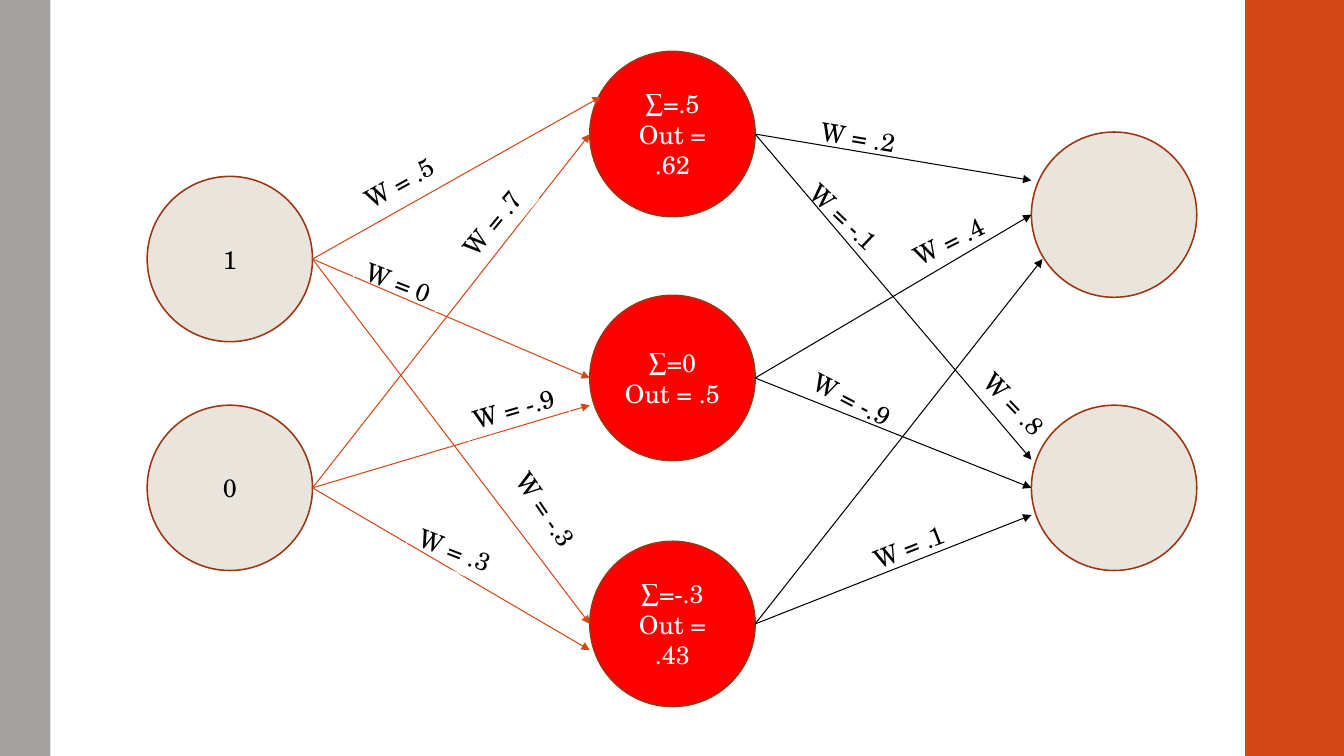
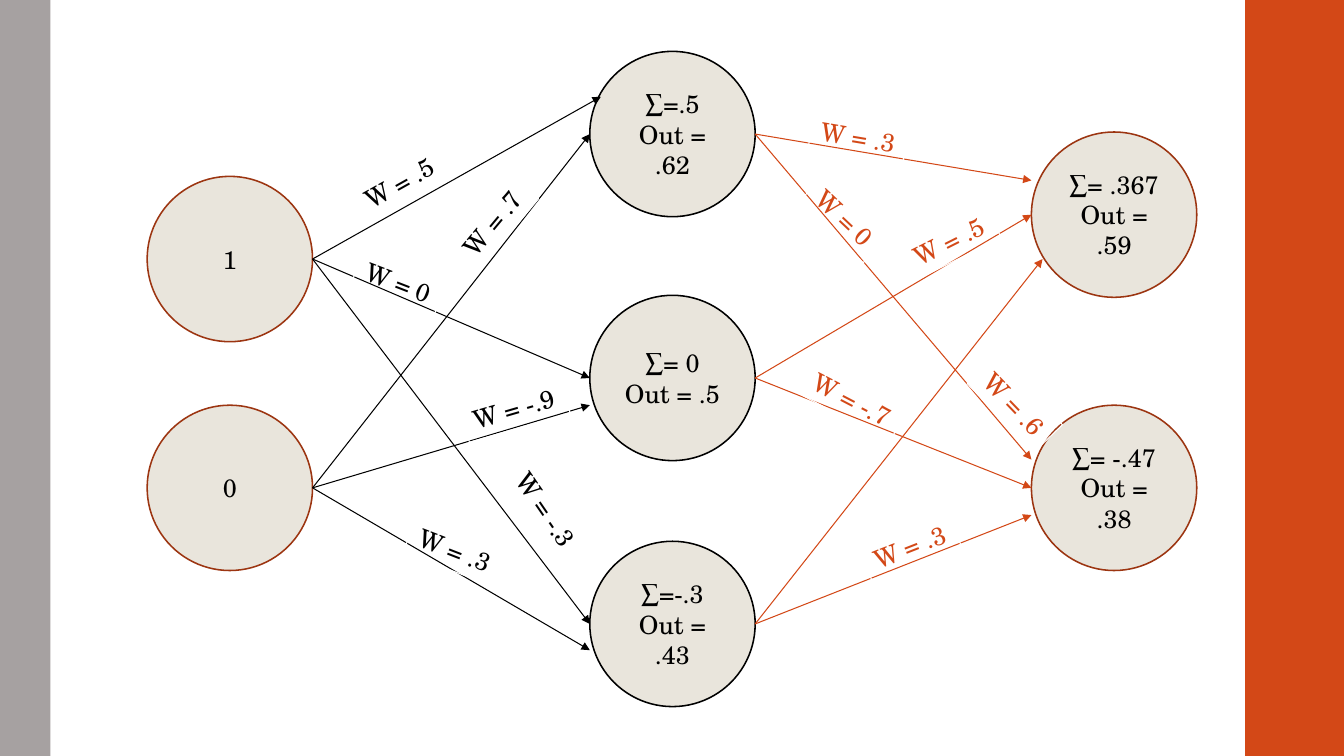
from dataclasses import dataclass

from lxml.etree import SubElement
from pptx import Presentation
from pptx.dml.color import RGBColor
from pptx.enum.shapes import MSO_CONNECTOR, MSO_SHAPE
from pptx.enum.text import MSO_ANCHOR, MSO_AUTO_SIZE, PP_ALIGN
from pptx.oxml.ns import qn
from pptx.slide import Slide
from pptx.text.text import TextFrame
from pptx.util import Inches, Pt

WHITE = RGBColor(0xFF, 0xFF, 0xFF)
BLACK = RGBColor(0x00, 0x00, 0x00)
ORANGE = RGBColor(0xD3, 0x48, 0x17)
GRAY = RGBColor(0xA6, 0xA1, 0xA1)
SAND = RGBColor(0xE9, 0xE5, 0xDC)
RUST = RGBColor(0x9C, 0x35, 0x11)
RED = RGBColor(0xFF, 0x00, 0x00)
FONT = "TeX Gyre Schola"

COLS, ROWS = 1333, 750
CELL = Inches(0.01)
SIZE = 164
HALF = SIZE // 2
TALL = 40
WIDTHS = {5: 88, 6: 95, 7: 104}


@dataclass(frozen=True)
class Band:
    col: int
    width: int
    fill: RGBColor


@dataclass(frozen=True)
class Layer:
    col: int
    rows: tuple[int, ...]


@dataclass(frozen=True)
class Link:
    start: int
    end: int
    right: int = 0
    down: int = 0


@dataclass(frozen=True)
class Spot:
    col: int
    row: int
    turn: float


@dataclass(frozen=True)
class Stage:
    links: tuple[Link, ...]
    spots: tuple[Spot, ...]


@dataclass(frozen=True)
class Tone:
    fill: RGBColor
    line: RGBColor
    ink: RGBColor


@dataclass(frozen=True)
class Flow:
    ink: RGBColor
    text: RGBColor
    framed: bool
    weights: tuple[str, ...]


@dataclass(frozen=True)
class Scene:
    tones: tuple[Tone, ...]
    texts: tuple[tuple[str, ...], ...]
    flows: tuple[Flow, ...]


BANDS = (Band(1235, 100, ORANGE), Band(0, 50, GRAY))
LAYERS = (
    Layer(228, (257, 484)),
    Layer(667, (133, 375, 619)),
    Layer(1105, (213, 484)),
)
STAGES = (
    Stage(
        (Link(0, 0, 11, -37), Link(0, 2), Link(0, 1),
         Link(1, 0), Link(1, 1, 0, 27), Link(1, 2, 0, 26)),
        (Spot(396, 181, 330.7), Spot(488, 221, 309.7), Spot(396, 280, 21.2),
         Spot(451, 546, 21.2), Spot(510, 405, 343.8), Spot(542, 506, 55.5)),
    ),
    Stage(
        (Link(0, 0, 0, -34), Link(0, 1, 0, -28), Link(1, 0),
         Link(1, 1), Link(2, 0, 11, 44), Link(2, 1, 0, 27)),
        (Spot(851, 136, 9.6), Spot(941, 239, 333.3), Spot(838, 216, 43.4),
         Spot(902, 542, 338.6), Spot(846, 396, 27.5), Spot(1006, 401, 46.2)),
    ),
)

PLAIN = Tone(SAND, RUST, BLACK)
HOT = Tone(RED, RUST, WHITE)
DONE = Tone(SAND, BLACK, BLACK)
FIRST = (".5", ".7", "0", ".3", "-.9", "-.3")
SCENES = (
    Scene(
        (PLAIN, HOT, PLAIN),
        (("1", "0"),
         ("∑=.5\nOut = .62", "∑=0\nOut = .5", "∑=-.3\nOut = .43"),
         ("", "")),
        (Flow(ORANGE, BLACK, True, FIRST),
         Flow(BLACK, BLACK, False, (".2", ".4", "-.1", ".1", "-.9", ".8"))),
    ),
    Scene(
        (PLAIN, DONE, PLAIN),
        (("1", "0"),
         ("∑=.5\nOut = .62", "∑= 0\nOut = .5", "∑=-.3\nOut = .43"),
         ("∑= .367\nOut = .59", "∑= -.47\nOut = .38")),
        (Flow(BLACK, BLACK, True, FIRST),
         Flow(ORANGE, ORANGE, True, (".3", ".5", "0", ".3", "-.7", ".6"))),
    ),
)


def grid(*cells: int) -> list[int]:
    return [cell * CELL for cell in cells]


def write(frame: TextFrame, text: str, ink: RGBColor, align: PP_ALIGN) -> None:
    for place, line in enumerate(text.split("\n")):
        para = frame.add_paragraph() if place else frame.paragraphs[0]
        para.alignment = align
        run = para.add_run()
        run.text = line
        run.font.name = FONT
        run.font.size = Pt(18)
        run.font.color.rgb = ink


def add_band(slide: Slide, band: Band) -> None:
    shape = slide.shapes.add_shape(
        MSO_SHAPE.RECTANGLE, *grid(band.col, 0, band.width, ROWS))
    shape.shadow.inherit = False
    shape.fill.solid()
    shape.fill.fore_color.rgb = band.fill
    shape.line.fill.background()
    slide.slide_layout.shapes.element.append(shape.element)


def add_node(slide: Slide, col: int, row: int, tone: Tone, text: str) -> None:
    node = slide.shapes.add_shape(
        MSO_SHAPE.OVAL, *grid(col - HALF, row - HALF, SIZE, SIZE))
    node.shadow.inherit = False
    node.fill.solid()
    node.fill.fore_color.rgb = tone.fill
    node.line.color.rgb = tone.line
    node.line.width = Pt(1.1)
    if text:
        node.text_frame.word_wrap = True
        node.text_frame.vertical_anchor = MSO_ANCHOR.MIDDLE
        write(node.text_frame, text, tone.ink, PP_ALIGN.CENTER)


def add_link(slide: Slide, left: Layer, right: Layer, link: Link, ink: RGBColor) -> None:
    line = slide.shapes.add_connector(
        MSO_CONNECTOR.STRAIGHT,
        *grid(left.col + HALF, left.rows[link.start],
              right.col - HALF + link.right, right.rows[link.end] + link.down))
    line.line.color.rgb = ink
    line.line.width = Pt(0.75)
    SubElement(line.line._get_or_add_ln(), qn("a:tailEnd"), type="triangle")
    SubElement(line.element.spPr, qn("a:effectLst"))


def add_label(slide: Slide, spot: Spot, weight: str, flow: Flow) -> None:
    text = f"W = {weight}"
    width = WIDTHS[len(text)]
    box = slide.shapes.add_textbox(
        *grid(spot.col - width // 2, spot.row - TALL // 2, width, TALL))
    box.rotation = spot.turn
    if flow.framed:
        box.line.color.rgb = WHITE
        box.line.width = Pt(0.75)
    box.text_frame.word_wrap = False
    box.text_frame.auto_size = MSO_AUTO_SIZE.SHAPE_TO_FIT_TEXT
    write(box.text_frame, text, flow.text, PP_ALIGN.LEFT)


def draw(slide: Slide, scene: Scene) -> None:
    for layer, tone, texts in zip(LAYERS, scene.tones, scene.texts):
        for row, text in zip(layer.rows, texts):
            add_node(slide, layer.col, row, tone, text)
    for left, right, stage, flow in zip(LAYERS, LAYERS[1:], STAGES, scene.flows):
        for link in stage.links:
            add_link(slide, left, right, link, flow.ink)
    for stage, flow in zip(STAGES, scene.flows):
        for spot, weight in zip(stage.spots, flow.weights):
            add_label(slide, spot, weight, flow)


def main() -> None:
    deck = Presentation()
    deck.slide_width, deck.slide_height = grid(COLS, ROWS)
    blank = deck.slide_layouts[6]
    slides = [deck.slides.add_slide(blank) for _ in SCENES]
    for band in BANDS:
        add_band(slides[0], band)
    for slide, scene in zip(slides, SCENES):
        draw(slide, scene)
    deck.save("out.pptx")


if __name__ == "__main__":
    main()
